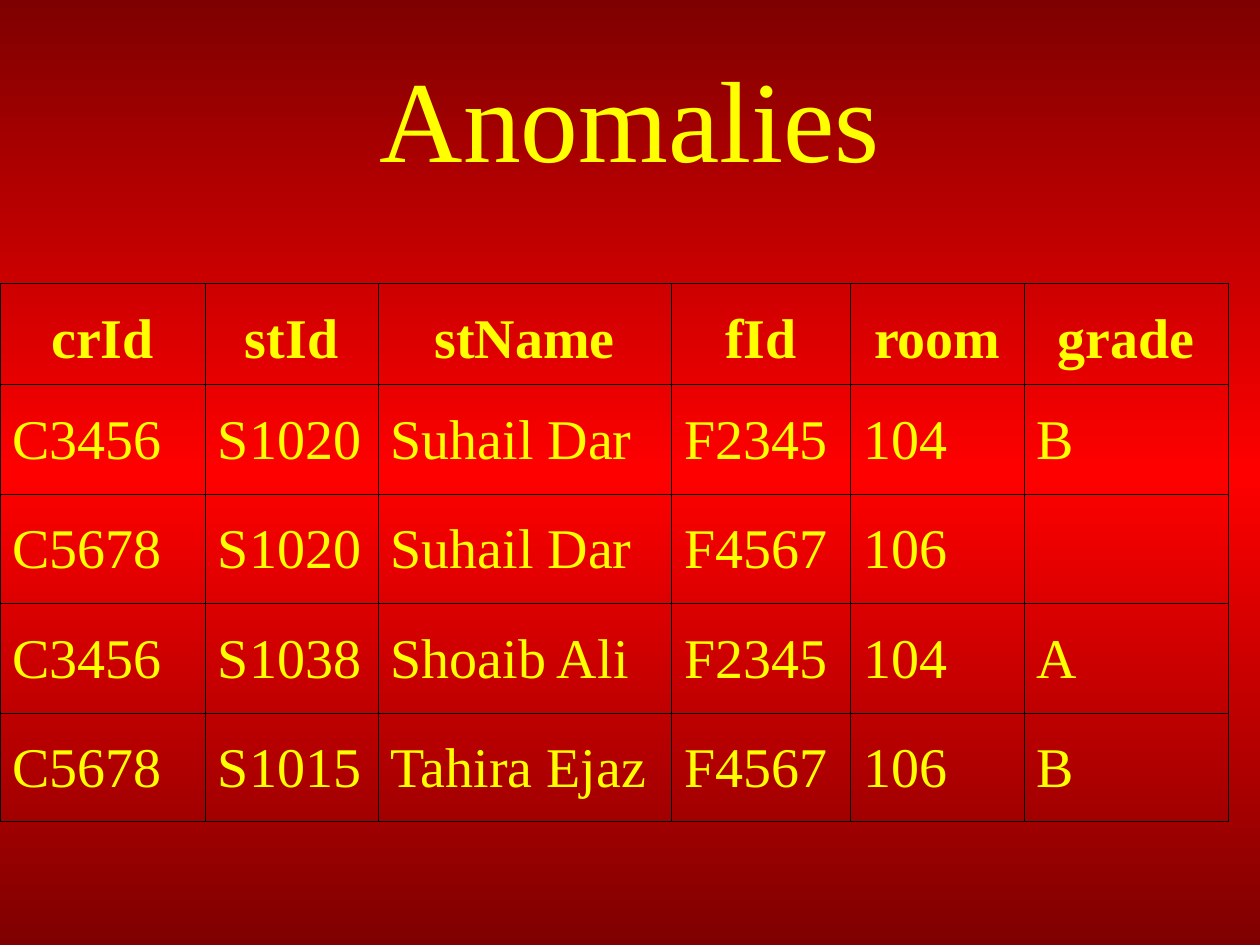
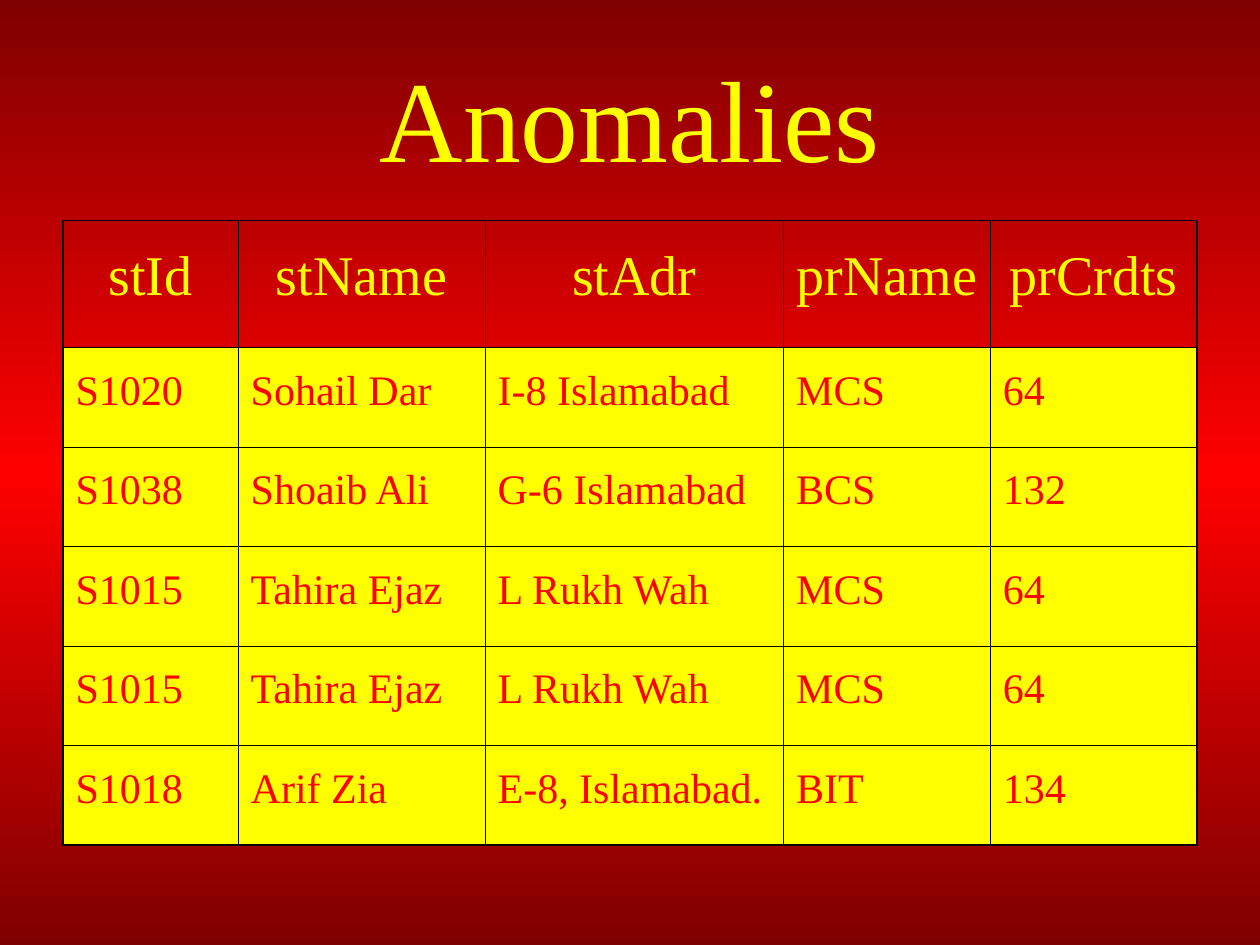
from copy import deepcopy

from lxml.etree import SubElement
from pptx import Presentation
from pptx.dml.color import RGBColor
from pptx.enum.text import MSO_ANCHOR, MSO_AUTO_SIZE, PP_ALIGN
from pptx.oxml.ns import qn
from pptx.util import Inches, Pt

DARK_RED = RGBColor(0x7F, 0x00, 0x00)
RED = RGBColor(0xFF, 0x00, 0x00)
YELLOW = RGBColor(0xFF, 0xFF, 0x00)
BLACK = RGBColor(0x00, 0x00, 0x00)

FONT = "Times New Roman"
INNER_RULE = Pt(0.45)
OUTER_RULE = Pt(1.08)
TITLE_BOX = (0.5, 0.3, 9, 1.25)
TITLE_FORMAT = {"size": Pt(66), "name": FONT, "color": YELLOW}
LARGE_FORMAT = {"size": Pt(32), "name": FONT, "color": YELLOW, "bold": False}

ENROLMENT = {
    "origin": (0, 2.25),
    "widths": [1.63, 1.37, 2.33, 1.42, 1.38, 1.62],
    "heights": [0.8, 0.87, 0.87, 0.87, 0.86],
    "header_format": {**LARGE_FORMAT, "bold": True},
    "body_format": LARGE_FORMAT,
    "body_fill": None,
    "rows": [
        ["crId", "stId", "stName", "fId", "room", "grade"],
        ["C3456", "S1020", "Suhail Dar", "F2345", "104", "B"],
        ["C5678", "S1020", "Suhail Dar", "F4567", "106", ""],
        ["C3456", "S1038", "Shoaib Ali", "F2345", "104", "A"],
        ["C5678", "S1015", "Tahira Ejaz", "F4567", "106", "B"],
    ],
}
STUDENTS = {
    "origin": (0.5, 1.75),
    "widths": [1.39, 1.96, 2.37, 1.64, 1.64],
    "heights": [1.01] + [0.79] * 5,
    "header_format": LARGE_FORMAT,
    "body_format": {**LARGE_FORMAT, "size": Pt(24), "color": RED},
    "body_fill": YELLOW,
    "rows": [
        ["stId", "stName", "stAdr", "prName", "prCrdts"],
        ["S1020", "Sohail Dar", "I-8 Islamabad", "MCS", "64"],
        ["S1038", "Shoaib Ali", "G-6 Islamabad", "BCS", "132"],
        ["S1015", "Tahira Ejaz", "L Rukh Wah", "MCS", "64"],
        ["S1015", "Tahira Ejaz", "L Rukh Wah", "MCS", "64"],
        ["S1018", "Arif Zia", "E-8, Islamabad.", "BIT", "134"],
    ],
}


def apply_format(font, values):
    for key, value in values.items():
        if key == "color":
            font.color.rgb = value
        else:
            setattr(font, key, value)


def paint_background(master):
    fill = master.background.fill
    fill.gradient()
    fill.gradient_angle = 270
    stop_list = master.element.find(".//" + qn("a:gsLst"))
    while len(stop_list) < 3:
        stop_list.append(deepcopy(stop_list[0]))
    for stop, position, color in zip(fill.gradient_stops, (0, 0.5, 1), (DARK_RED, RED, DARK_RED)):
        stop.position = position
        stop.color.rgb = color


def place_title(slide, text, box):
    title = slide.shapes.title
    title.left, title.top, title.width, title.height = map(Inches, box)
    frame = title.text_frame
    frame.text = text
    frame.auto_size = MSO_AUTO_SIZE.NONE
    frame.vertical_anchor = MSO_ANCHOR.MIDDLE
    heading = frame.paragraphs[0]
    heading.alignment = PP_ALIGN.CENTER
    apply_format(heading.runs[0].font, TITLE_FORMAT)


def draw_borders(cell, outer_sides):
    properties = cell._tc.get_or_add_tcPr()
    for side in "LRTB":
        width = OUTER_RULE if side in outer_sides else INNER_RULE
        line = SubElement(properties, qn(f"a:ln{side}"), w=str(int(width)))
        solid = SubElement(line, qn("a:solidFill"))
        SubElement(solid, qn("a:srgbClr"), val=str(BLACK))


def fill_cell(cell, text, text_format, alignment, color):
    if color is None:
        cell.fill.background()
    else:
        cell.fill.solid()
        cell.fill.fore_color.rgb = color
    cell.text = text
    entry = cell.text_frame.paragraphs[0]
    entry.alignment = alignment
    entry.line_spacing = 1.3
    apply_format(entry.font, text_format)
    for run in entry.runs:
        apply_format(run.font, text_format)


def place_table(slide, content):
    rows, widths, heights = content["rows"], content["widths"], content["heights"]
    box = (*content["origin"], sum(widths), sum(heights))
    table = slide.shapes.add_table(len(rows), len(widths), *map(Inches, box)).table
    table.first_row = table.horz_banding = False
    for column, width in zip(table.columns, widths):
        column.width = Inches(width)
    for row, height in zip(table.rows, heights):
        row.height = Inches(height)
    last_row, last_column = len(rows) - 1, len(widths) - 1
    for r, values in enumerate(rows):
        for c, text in enumerate(values):
            cell = table.cell(r, c)
            edges = {"L": c == 0, "R": c == last_column, "T": r == 0, "B": r == last_row}
            draw_borders(cell, [side for side, outer in edges.items() if outer])
            if r == 0:
                fill_cell(cell, text, content["header_format"], PP_ALIGN.CENTER, None)
            else:
                fill_cell(cell, text, content["body_format"], PP_ALIGN.LEFT, content["body_fill"])


def add_anomalies_slide(deck, content):
    slide = deck.slides.add_slide(deck.slide_layouts[5])
    place_title(slide, "Anomalies", TITLE_BOX)
    place_table(slide, content)


def main():
    deck = Presentation()
    deck.slide_width, deck.slide_height = Inches(10), Inches(7.5)
    paint_background(deck.slide_master)
    for content in (ENROLMENT, STUDENTS):
        add_anomalies_slide(deck, content)
    deck.save("out.pptx")


if __name__ == "__main__":
    main()
